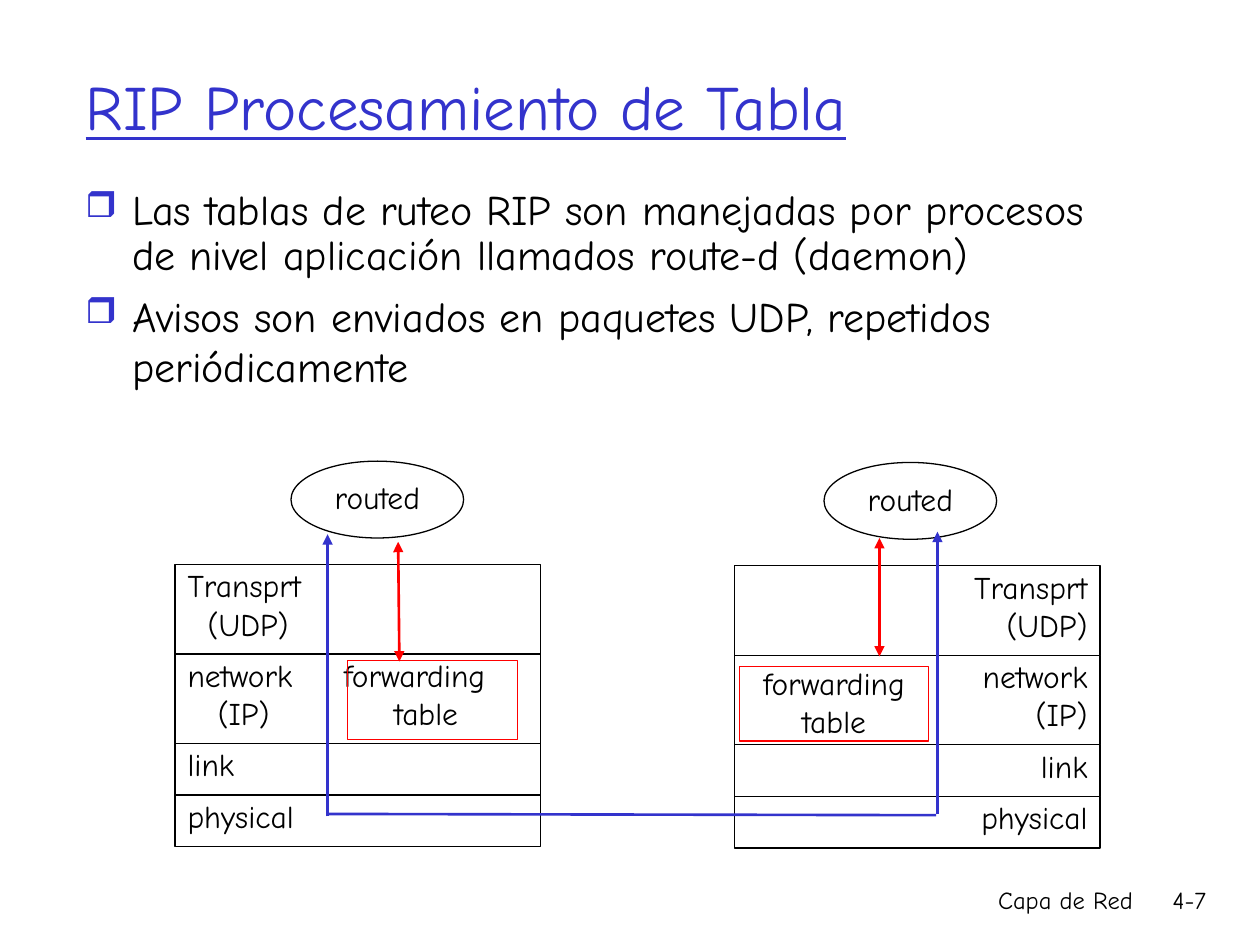
from dataclasses import dataclass

import pptx
import pptx.dml.color
import pptx.enum.shapes
import pptx.enum.text
import pptx.oxml.ns
import pptx.util
from lxml import etree

Inches = pptx.util.Inches
Pt = pptx.util.Pt
Align = pptx.enum.text.PP_ALIGN
Anchor = pptx.enum.text.MSO_ANCHOR
Shape = pptx.enum.shapes.MSO_SHAPE
qn = pptx.oxml.ns.qn

FONT = "Comic Neue"
BLACK, BLUE, RED = "000000", "3333CC", "FF0000"


@dataclass
class Area:
    left: float
    top: float
    width: float
    height: float

    def lengths(self) -> list:
        return [Inches(n) for n in (self.left, self.top, self.width, self.height)]


@dataclass
class Line:
    """One paragraph, with the tab stops (in inches) that its tabs use."""
    text: str
    tabs: tuple = ()


@dataclass
class Layer:
    height: float
    lines: list


@dataclass
class Host:
    left: float
    top: float
    align: int
    layers: list
    process: Area


@dataclass
class Link:
    start: tuple
    end: tuple
    color: str
    ends: tuple = ()


def rgb(color: str):
    return pptx.dml.color.RGBColor.from_string(color)


def style(para, size: float, color: str = BLACK) -> None:
    para.font.name = FONT
    para.font.size = Pt(size)
    para.font.color.rgb = rgb(color)


def add_tabs(para, stops: tuple) -> None:
    tab_list = etree.SubElement(para._p.get_or_add_pPr(), qn("a:tabLst"))
    for stop in stops:
        etree.SubElement(tab_list, qn("a:tab"), pos=str(Inches(stop)), algn="l")


def add_bullet(para) -> None:
    props = para._p.get_or_add_pPr()
    props.set("marL", str(Inches(0.37)))
    props.set("indent", str(-Inches(0.37)))
    color = etree.SubElement(props, qn("a:buClr"))
    etree.SubElement(color, qn("a:srgbClr"), val=BLUE)
    etree.SubElement(props, qn("a:buSzPct"), val="85000")
    etree.SubElement(props, qn("a:buChar"), char="❒")


def write(box, lines: list, size: float, align=Align.LEFT, anchor=Anchor.TOP,
          bullets: bool = False) -> None:
    frame = box.text_frame
    frame.word_wrap = True
    frame.vertical_anchor = anchor
    for index, line in enumerate(lines):
        para = frame.add_paragraph() if index else frame.paragraphs[0]
        para.text = line.text
        para.alignment = align
        para.line_spacing = 1.0 if index else 0.9
        if bullets:
            if index:
                para.space_before = Pt(6)
            add_bullet(para)
        if line.tabs:
            add_tabs(para, line.tabs)
        style(para, size)


def add_outline(page, kind, area: Area, color: str = BLACK):
    shape = page.shapes.add_shape(kind, *area.lengths())
    shape.shadow.inherit = False
    shape.fill.background()
    shape.line.color.rgb = rgb(color)
    shape.line.width = Pt(0.75)
    return shape


def add_text(page, area: Area, lines: list, size: float, **options) -> None:
    write(page.shapes.add_textbox(*area.lengths()), lines, size, **options)


def add_host(page, host: Host) -> None:
    """Draw the protocol stack of one router and the process above it."""
    top = host.top
    for layer in host.layers:
        box = add_outline(page, Shape.RECTANGLE, Area(host.left, top, 2.9, layer.height))
        write(box, layer.lines, 18, host.align)
        top += layer.height
    oval = add_outline(page, Shape.OVAL, host.process)
    write(oval, [Line("routed")], 18, Align.CENTER, Anchor.MIDDLE)


def add_link(page, link: Link) -> None:
    connector = page.shapes.add_connector(
        pptx.enum.shapes.MSO_CONNECTOR.STRAIGHT,
        *[Inches(n) for n in link.start + link.end])
    connector.line.color.rgb = rgb(link.color)
    connector.line.width = Pt(1.5)
    outline = connector.line._get_or_add_ln()
    for end in link.ends:
        etree.SubElement(outline, qn(f"a:{end}"), type="triangle")
    etree.SubElement(connector._element.spPr, qn("a:effectLst"))


def stack(transport: list, network: list) -> list:
    return [Layer(0.71, transport), Layer(0.71, network),
            Layer(0.41, [Line("link")]), Layer(0.41, [Line("physical")])]


HOSTS = [
    Host(1.39, 4.48, Align.LEFT,
         stack([Line("Transprt"), Line("\t(UDP)", (0.16,))],
               [Line("network\tforwarding", (1.24,)),
                Line("\t(IP)\ttable", (0.24, 1.64))]),
         Area(2.31, 3.66, 1.37, 0.61)),
    Host(5.83, 4.49, Align.RIGHT,
         stack([Line("Transprt"), Line("(UDP)")], [Line("network"), Line("(IP)")]),
         Area(6.54, 3.67, 1.37, 0.61)),
]

LINKS = [
    Link((2.6, 6.48), (2.6, 4.24), BLUE, ("tailEnd",)),
    Link((7.44, 6.46), (7.44, 4.22), BLUE, ("tailEnd",)),
    Link((2.6, 6.46), (7.43, 6.47), BLUE),
    Link((3.16, 4.3), (3.17, 5.25), RED, ("headEnd", "tailEnd")),
    Link((6.98, 4.27), (6.98, 5.21), RED, ("headEnd", "tailEnd")),
]

BULLETS = [
    Line("Las tablas de ruteo RIP son manejadas por procesos de nivel aplicación "
         "llamados route-d (daemon)"),
    Line("Avisos son enviados en paquetes UDP, repetidos periódicamente"),
]


def main() -> None:
    deck = pptx.Presentation()
    deck.slide_width, deck.slide_height = Inches(10), Inches(7.5)
    page = deck.slides.add_slide(deck.slide_layouts[5])

    title = page.shapes.title
    title.left, title.top, title.width, title.height = Area(0.58, 0.25, 8.5, 1.25).lengths()
    write(title, [Line("RIP Procesamiento de Tabla")], 36, anchor=Anchor.MIDDLE)
    heading = title.text_frame.paragraphs[0]
    style(heading, 36, BLUE)
    heading.font.underline = True

    add_text(page, Area(0.58, 1.45, 8.5, 5.38), BULLETS, 24, bullets=True)
    for host in HOSTS:
        add_host(page, host)

    add_outline(page, Shape.RECTANGLE, Area(2.76, 5.24, 1.35, 0.63), RED)
    table = add_outline(page, Shape.RECTANGLE, Area(5.87, 5.29, 1.5, 0.59), RED)
    write(table, [Line("forwarding"), Line("table")], 18, Align.CENTER, Anchor.MIDDLE)

    for link in LINKS:
        add_link(page, link)

    add_text(page, Area(5.92, 7, 3.17, 0.31), [Line("Capa de Red")], 14, align=Align.RIGHT)
    add_text(page, Area(8.93, 7, 0.74, 0.31), [Line("4-7")], 14, align=Align.RIGHT)
    deck.save("out.pptx")


if __name__ == "__main__":
    main()
